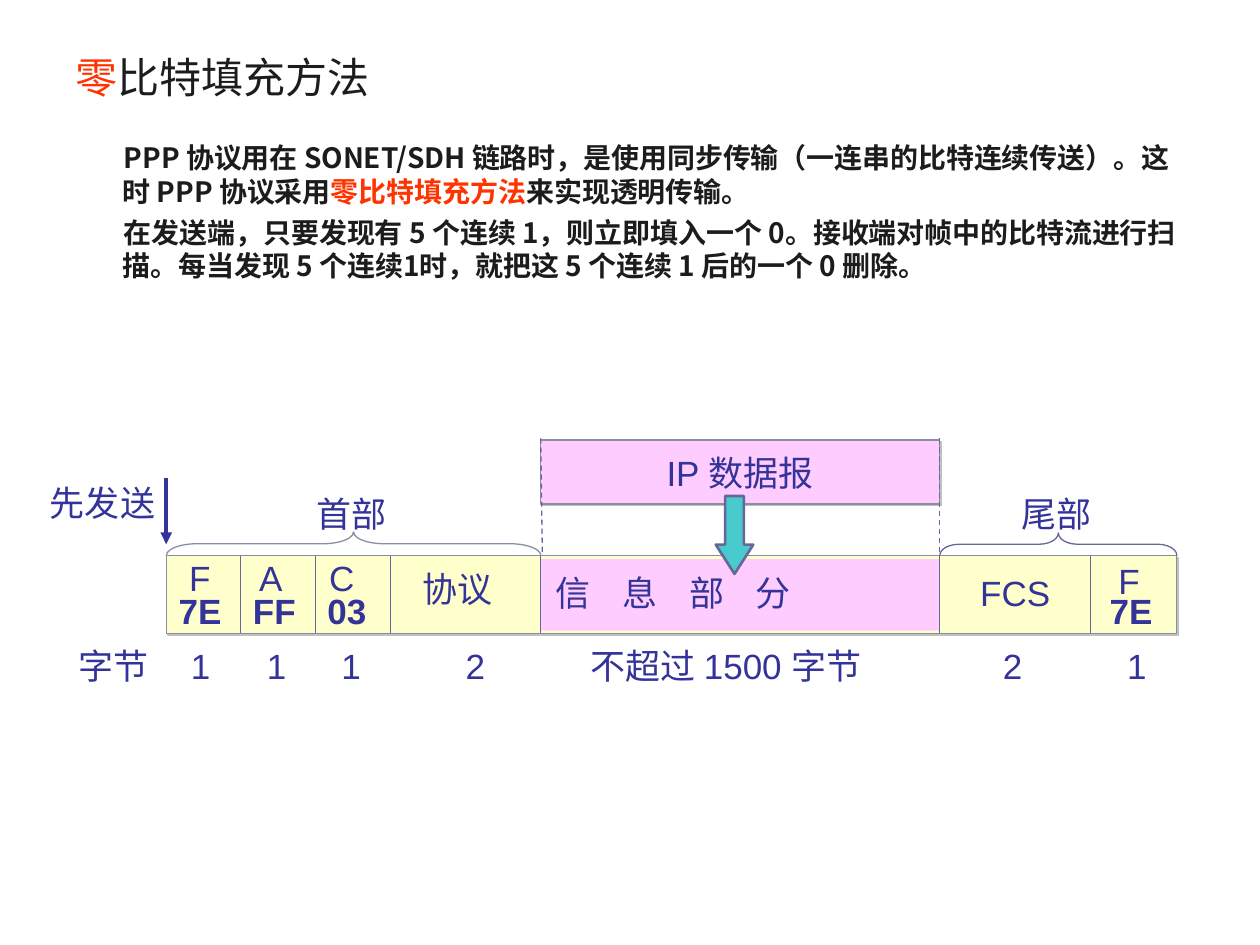
from lxml import etree
from pptx import Presentation
from pptx import util as u
from pptx.dml.color import RGBColor
from pptx.enum import dml, shapes, text
from pptx.oxml import ns

Pt = u.Pt
CJK, LATIN = "Noto Sans CJK SC", "Arial"
RED, INK, NAVY = "FF3300", "1C1C1C", "333399"
RULE, EDGE, SHADE = "666699", "878FA5", "C0C0C0"
YELLOW, PINK, TEAL = "FFFFCC", "FFCCFF", "49CACD"

TITLE = [[("零", RED), ("比特填充方法", INK)]]
BODY = [
    [("PPP 协议用在 SONET/SDH 链路时，是使用同步传输（一连串的比特连续传送）。"
      "这时 PPP 协议采用", INK), ("零比特填充方法", RED), ("来实现透明传输。", INK)],
    [("在发送端，只要发现有 5 个连续 1，则立即填入一个 0。接收端对帧中的比特流进行扫描。"
      "每当发现 5 个连续1时，就把这 5 个连续 1 后的一个 0 删除。", INK)],
]

# Edges of the frame fields: F, A, C, protocol, information, FCS, F
EDGES = [95, 137.5, 180.5, 223, 309, 537, 623, 672.5]
FRAME_TOP, FRAME_HEIGHT = 317.5, 44.5
INFO_LEFT, INFO_RIGHT = EDGES[4], EDGES[5]
INFO_WIDTH = INFO_RIGHT - INFO_LEFT

# top, bold, [(label, left, width)]
LABEL_ROWS = [
    (271.5, False, [("先发送", 21.5, 74.5)]),
    (278, False, [("首部", 173.5, 54.5), ("尾部", 576.5, 54.5)]),
    (314.5, False, [("F", 101, 26.5), ("A", 141, 27.5), ("C", 181, 29)]),
    (316, False, [("F", 632, 26.5)]),
    (321, False, [("协议", 234.5, 54.5)]),
    (323, False, [("FCS", 553, 54.5)]),
    (333.5, True, [("7E", 95, 39), ("FF", 137.5, 39), ("03", 180, 37), ("7E", 627, 39)]),
    (364.5, False, [("字节", 38, 54.5), ("1", 102, 25), ("1", 145.5, 25), ("1", 188, 25),
                    ("2", 259, 25), ("不超过 1500 字节", 330.5, 184.5),
                    ("2", 566, 25), ("1", 637, 25)]),
]
# left, right, top, height, arc size, colour
BRACES = [(EDGES[0], INFO_LEFT, 304, 13.5, 1.3, EDGE),
          (INFO_RIGHT, EDGES[-1], 304.5, 13, 0.84, RULE)]

prs = Presentation()
prs.slide_width, prs.slide_height = Pt(720), Pt(540)
slide = prs.slides.add_slide(prs.slide_layouts[6])


def rgb(colour):
    return RGBColor.from_string(colour)


def style_run(run, size, colour, font, bold=False):
    run.font.size, run.font.bold, run.font.name = Pt(size), bold, font
    run.font.color.rgb = rgb(colour)
    east_asian = etree.SubElement(run._r.get_or_add_rPr(), ns.qn("a:ea"))
    east_asian.set("typeface", CJK)


def add_rich_text(box, paragraphs, size, bold=False):
    frame = box.text_frame
    frame.word_wrap = True
    for i, parts in enumerate(paragraphs):
        paragraph = frame.paragraphs[0] if i == 0 else frame.add_paragraph()
        for words, colour in parts:
            run = paragraph.add_run()
            run.text = words
            style_run(run, size, colour, CJK, bold)
    return frame


def add_label(words, left, top, width, bold=False):
    box = slide.shapes.add_textbox(Pt(left), Pt(top), Pt(width), Pt(31.5))
    box.text_frame.word_wrap = False
    box.text_frame.auto_size = text.MSO_AUTO_SIZE.SHAPE_TO_FIT_TEXT
    box.text_frame.text = words
    run = box.text_frame.paragraphs[0].runs[0]
    style_run(run, 20, NAVY, LATIN, bold)
    return run


def add_block(kind, left, top, width, height, fill=None, line=None, weight=0.75):
    block = slide.shapes.add_shape(kind, Pt(left), Pt(top), Pt(width), Pt(height))
    block.shadow.inherit = False
    if fill:
        block.fill.solid()
        block.fill.fore_color.rgb = rgb(fill)
    else:
        block.fill.background()
    if line:
        block.line.color.rgb = rgb(line)
        block.line.width = Pt(weight)
    else:
        block.line.fill.background()
    return block


def add_shadow(block):
    effects = block._element.spPr.find(ns.qn("a:effectLst"))
    shadow = etree.SubElement(effects, ns.qn("a:outerShdw"), dist=str(Pt(1.4)),
                              dir="2700000", algn="ctr", rotWithShape="0")
    etree.SubElement(shadow, ns.qn("a:srgbClr"), val=SHADE)


def add_line(x1, y1, x2, y2, colour=RULE, weight=0.75):
    line = slide.shapes.add_connector(shapes.MSO_CONNECTOR.STRAIGHT,
                                      Pt(x1), Pt(y1), Pt(x2), Pt(y2))
    line.line.color.rgb = rgb(colour)
    line.line.width = Pt(weight)
    etree.SubElement(line._element.spPr, ns.qn("a:effectLst"))
    return line


def add_brace(left, right, top, height, arc, colour):
    """Left brace turned a quarter so that its tip points up."""
    span = right - left
    brace = add_block(shapes.MSO_SHAPE.LEFT_BRACE, (left + right - height) / 2,
                      top + (height - span) / 2, height, span, line=colour)
    brace.rotation = 90
    brace.adjustments[0] = arc


title = add_rich_text(slide.shapes.add_textbox(Pt(36), Pt(22), Pt(648), Pt(44)), TITLE, 24)
title.vertical_anchor = text.MSO_ANCHOR.MIDDLE

body = add_rich_text(slide.shapes.add_textbox(Pt(36), Pt(77), Pt(648), Pt(376.5)),
                     BODY, 16, bold=True)
for i, paragraph in enumerate(body.paragraphs):
    paragraph.space_before = Pt(4 if i else 0)
    indent = paragraph._p.get_or_add_pPr()
    indent.set("marL", str(Pt(27)))
    indent.set("indent", str(Pt(0.75)))

RECT = shapes.MSO_SHAPE.RECTANGLE
datagram = add_block(RECT, INFO_LEFT, 251.5, INFO_WIDTH, 36.5, PINK, EDGE)
add_shadow(datagram)
datagram.text_frame.word_wrap = False
datagram.text_frame.vertical_anchor = text.MSO_ANCHOR.MIDDLE
datagram.text_frame.text = "IP 数据报"
datagram.text_frame.paragraphs[0].alignment = text.PP_ALIGN.CENTER
style_run(datagram.text_frame.paragraphs[0].runs[0], 20, NAVY, LATIN)

for top_x, bottom_x, bottom in [(INFO_LEFT, INFO_LEFT + 1, 323),
                                (INFO_RIGHT, INFO_RIGHT, 320.5)]:
    guide = add_line(top_x, 250.5, bottom_x, bottom)
    guide.line.dash_style = dml.MSO_LINE.DASH

add_shadow(add_block(RECT, EDGES[0], FRAME_TOP, EDGES[-1] - EDGES[0], FRAME_HEIGHT,
                     YELLOW, EDGE))
add_block(RECT, INFO_LEFT, 319.5, INFO_WIDTH, 41, PINK)
for x in EDGES[1:-1]:
    add_line(x, FRAME_TOP, x, FRAME_TOP + FRAME_HEIGHT)

for top, bold, labels in LABEL_ROWS:
    for words, left, width in labels:
        add_label(words, left, top, width, bold)
information = add_label("信 息 部 分", 310.5, 323, 154.5)
information._r.get_or_add_rPr().set("spc", "680")

for brace in BRACES:
    add_brace(*brace)

send_first = add_line(EDGES[0], 273, EDGES[0], 311, NAVY, 2.25)
etree.SubElement(send_first.line._get_or_add_ln(), ns.qn("a:tailEnd"), type="triangle")

insertion = add_block(shapes.MSO_SHAPE.DOWN_ARROW, 409, 283.5, 21.5, 44.5, TEAL, RULE, 1.5)
insertion.adjustments[0], insertion.adjustments[1] = 0.5, 0.78

prs.save("out.pptx")
